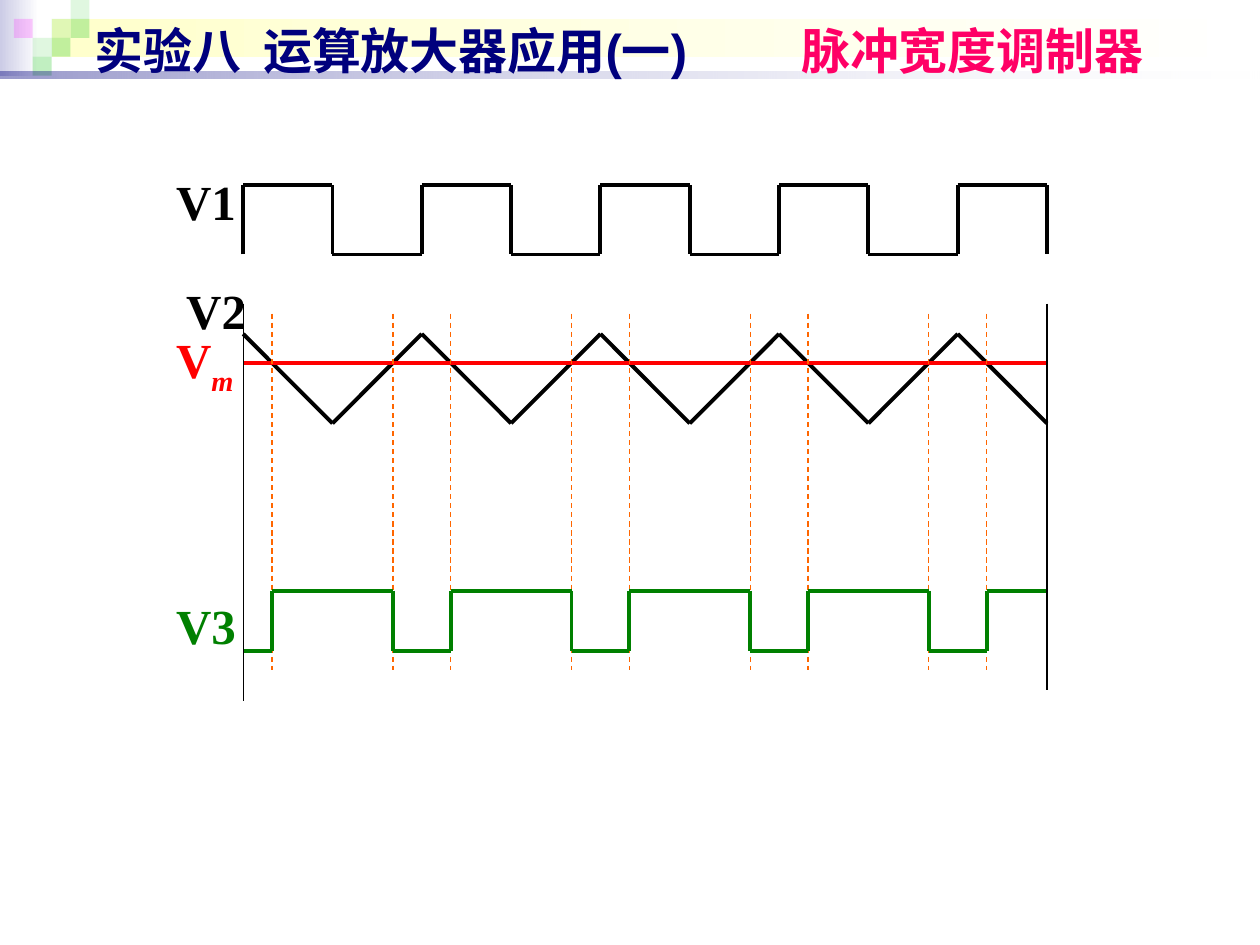
from lxml import etree
from pptx import Presentation, util as u
from pptx.dml.color import RGBColor
from pptx.enum import dml, shapes, text
from pptx.oxml.ns import qn

COLORS = {
    "black": "000000", "red": "FF0000", "green": "008000", "orange": "FF6600",
    "navy": "00007D", "pink": "FF0066", "lilac": "CCCCE6", "cream": "FFFFCC",
    "white": "FFFFFF", "leaf": "33CC33", "magenta": "FF00FF",
}
TITLE = [("实验八\t运算放大器应用(一)\t", "navy"), ("脉冲宽度调制器", "pink")]
TITLE_TABS = [1.34, 5.61]
LABELS = [
    ("V1", "", 1.3, 1.31, "black"),
    ("V2", "", 1.38, 2.18, "black"),
    ("V", "m", 1.3, 2.57, "red"),
    ("V3", "", 1.3, 4.68, "green"),
]
BANDS = [
    (0, 0, 0.31, 0.6, "lilac", 100, 100),
    (0.41, 0.15, 9.55, 0.3, "cream", 100, 100),
    (0, 0.57, 10, 0.05, "navy", 40, 10),
]
SQUARE = 0.15
SQUARES = [
    (2, 1, "leaf", 15), (3, 0, "leaf", 15), (3, 1, "leaf", 30), (1, 2, "leaf", 15),
    (0, 1, "magenta", 20), (2, 2, "leaf", 30), (1, 3, "leaf", 30),
]

LEFT, RIGHT = 1.93, 8.31
HALVES = 9
HALF = (RIGHT - LEFT) / HALVES
V1_HIGH, V1_LOW = 1.47, 2.02
V2_HIGH, V2_LOW = 2.65, 3.36
VM = 2.88
V3_HIGH, V3_LOW = 4.69, 5.17
CROSSING = HALF * (VM - V2_HIGH) / (V2_LOW - V2_HIGH)


def rgb(name):
    return RGBColor.from_string(COLORS[name])


def set_alpha(element, percents):
    for color, percent in zip(element.iter(qn("a:srgbClr")), percents):
        if percent < 100:
            etree.SubElement(color, qn("a:alpha"), val=str(percent * 1000))


def add_rectangle(slide, left, top, width, height):
    shape = slide.shapes.add_shape(
        shapes.MSO_SHAPE.RECTANGLE, *map(u.Inches, (left, top, width, height)))
    shape.shadow.inherit = False
    shape.line.fill.background()
    return shape


def add_band(slide, left, top, width, height, color, *alphas):
    shape = add_rectangle(slide, left, top, width, height)
    shape.fill.gradient()
    shape.fill.gradient_angle = 0
    for stop, name in zip(shape.fill.gradient_stops, (color, "white")):
        stop.color.rgb = rgb(name)
    set_alpha(shape.element.spPr, alphas)


def add_square(slide, column, row, color, alpha):
    shape = add_rectangle(
        slide, 0.11 + column * SQUARE, row * SQUARE, SQUARE, SQUARE)
    shape.fill.solid()
    shape.fill.fore_color.rgb = rgb(color)
    set_alpha(shape.element.spPr, [alpha])


def add_line(slide, start, end, color, width=2.25, dashed=False):
    line = slide.shapes.add_connector(
        shapes.MSO_CONNECTOR.STRAIGHT, *map(u.Inches, (*start, *end)))
    line.line.color.rgb = rgb(color)
    line.line.width = u.Pt(width)
    if dashed:
        line.line.dash_style = dml.MSO_LINE.DASH
    etree.SubElement(line.element.spPr, qn("a:effectLst"))


def add_wave(slide, points, color):
    for start, end in zip(points, points[1:]):
        add_line(slide, start, end, color)


def square_wave(edges, first, second):
    points = []
    for index, (start, end) in enumerate(zip(edges, edges[1:])):
        level = second if index % 2 else first
        points += [(start, level), (end, level)]
    return points


def add_text_box(slide, left, top, width, height):
    box = slide.shapes.add_textbox(*map(u.Inches, (left, top, width, height)))
    box.text_frame.word_wrap = True
    return box.text_frame


def add_title(slide):
    frame = add_text_box(slide, 0.65, 0.11, 9, 0.57)
    frame.vertical_anchor = text.MSO_ANCHOR.MIDDLE
    paragraph = frame.paragraphs[0]
    tabs = etree.SubElement(paragraph._p.get_or_add_pPr(), qn("a:tabLst"))
    for position in TITLE_TABS:
        etree.SubElement(tabs, qn("a:tab"), pos=str(u.Inches(position)), algn="l")
    paragraph.font.name, paragraph.font.size = "Arial", u.Pt(28)
    paragraph.font.bold = True
    for words, color in TITLE:
        run = paragraph.add_run()
        run.text = words
        run.font.color.rgb = rgb(color)


def add_label(slide, name, subscript, left, top, color):
    frame = add_text_box(slide, left, top, 1.1, 0.57)
    frame.auto_size = text.MSO_AUTO_SIZE.SHAPE_TO_FIT_TEXT
    paragraph = frame.paragraphs[0]
    paragraph.font.name, paragraph.font.size = "Times New Roman", u.Pt(28)
    paragraph.font.bold = True
    paragraph.font.color.rgb = rgb(color)
    paragraph.add_run().text = name
    if subscript:
        run = paragraph.add_run()
        run.text = subscript
        run.font.italic = True
        run.font._element.set("baseline", "-25000")


def add_waveforms(slide):
    edges = [LEFT + index * HALF for index in range(HALVES + 1)]
    crossings = []
    for peak in edges[::2]:
        crossings += [peak - CROSSING, peak + CROSSING]
    crossings = crossings[1:]

    triangle = [(x, V2_LOW if index % 2 else V2_HIGH)
                for index, x in enumerate(edges)]
    add_wave(slide, triangle, "black")
    add_line(slide, (LEFT, VM), (RIGHT, VM), "red")
    for x in crossings:
        add_line(slide, (x, 2.49), (x, 5.32), "orange", 0.75, True)
    add_wave(slide, square_wave([LEFT, *crossings, RIGHT], V3_LOW, V3_HIGH), "green")
    for x, bottom in ((LEFT, 5.56), (RIGHT, 5.48)):
        add_line(slide, (x, 2.41), (x, bottom), "black", 0.75)
    pulses = square_wave(edges, V1_HIGH, V1_LOW)
    add_wave(slide, [(LEFT, V1_LOW), *pulses, (RIGHT, V1_LOW)], "black")


def main():
    presentation = Presentation()
    presentation.slide_width = u.Inches(10)
    presentation.slide_height = u.Inches(7.5)
    slide = presentation.slides.add_slide(presentation.slide_layouts[6])
    for band in BANDS[:2]:
        add_band(slide, *band)
    for square in SQUARES:
        add_square(slide, *square)
    add_band(slide, *BANDS[2])
    add_title(slide)
    add_waveforms(slide)
    for label in LABELS:
        add_label(slide, *label)
    presentation.save("out.pptx")


if __name__ == "__main__":
    main()
